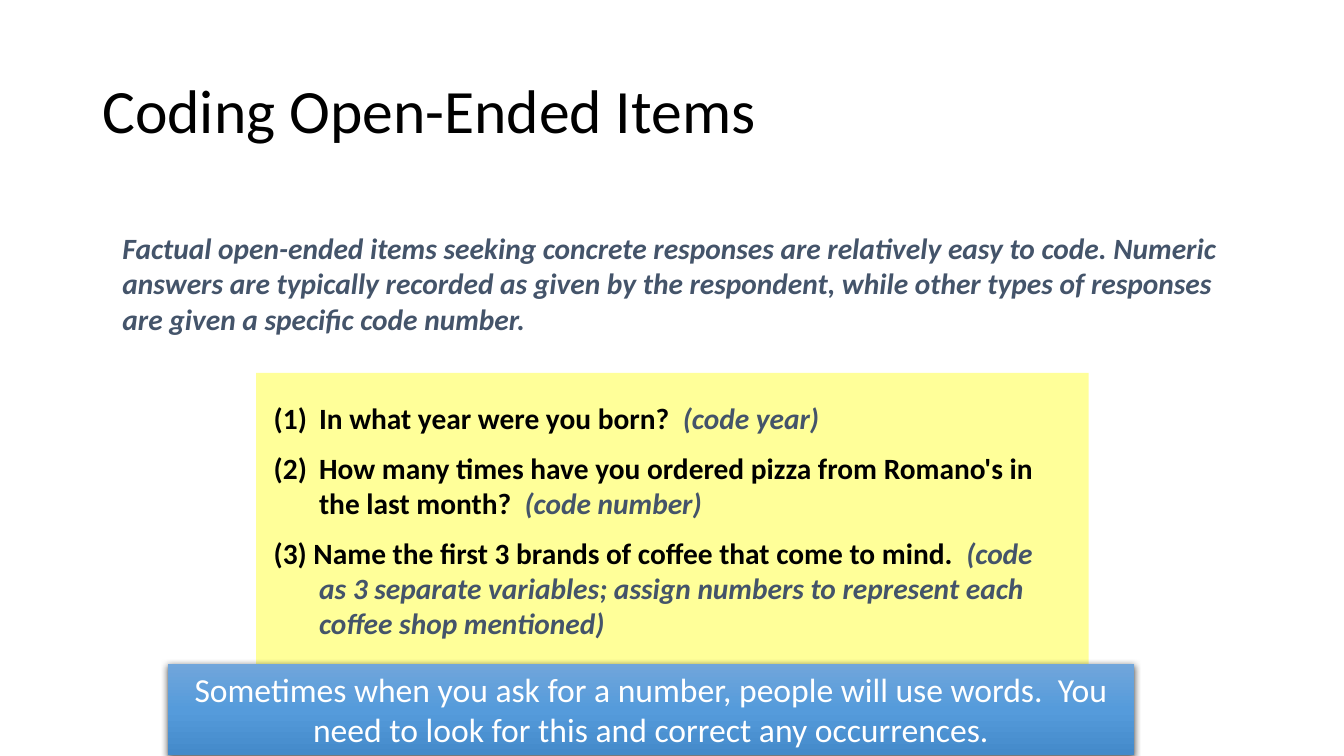
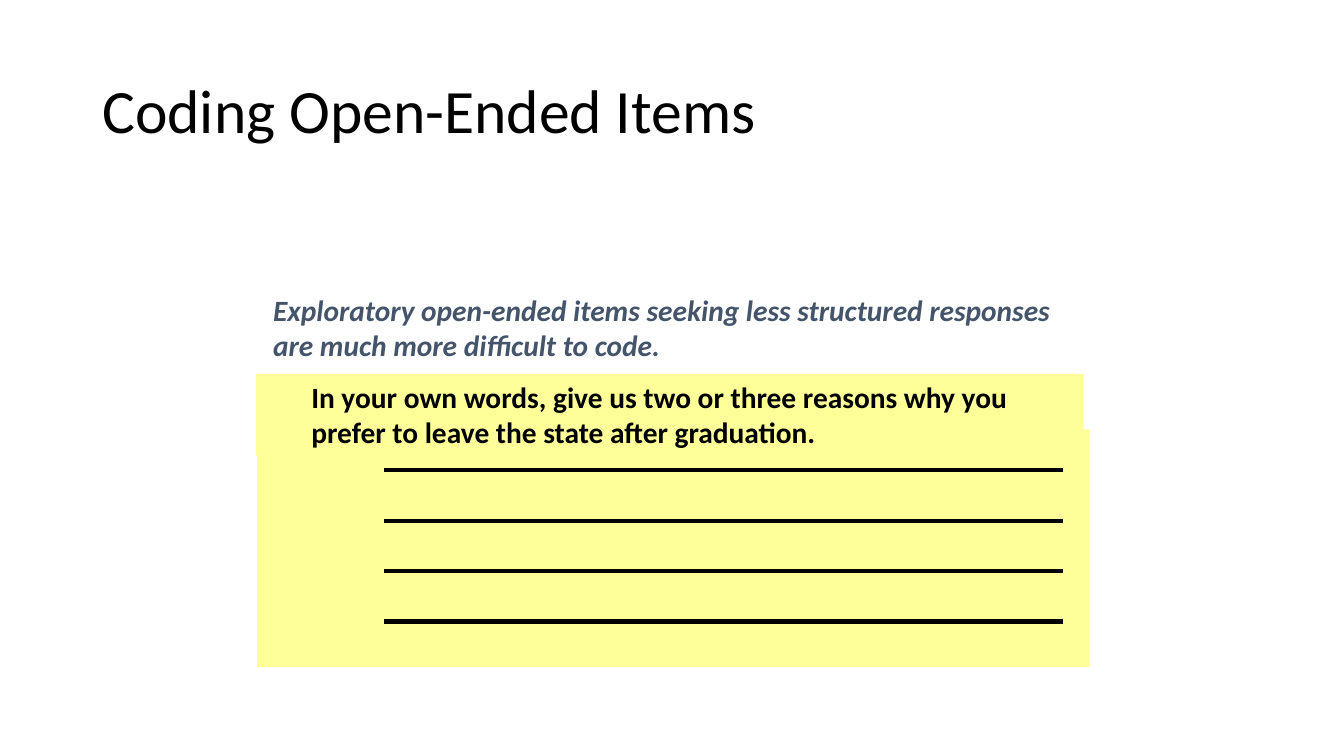
from lxml.etree import SubElement
from pptx import Presentation
from pptx.dml.color import RGBColor
from pptx.enum.shapes import MSO_CONNECTOR as Connector, MSO_SHAPE as Shape
from pptx.enum.text import MSO_ANCHOR as Anchor, PP_ALIGN as Align
from pptx.oxml.ns import qn
from pptx.util import Inches, Pt

BLACK = RGBColor(0x00, 0x00, 0x00)
WHITE = RGBColor(0xFF, 0xFF, 0xFF)
SLATE = RGBColor(0x44, 0x54, 0x6A)
YELLOW = RGBColor(0xFF, 0xFF, 0x99)
BLUES = {0: RGBColor(0x71, 0xA6, 0xDB), 50: RGBColor(0x55, 0x9B, 0xDB), 100: RGBColor(0x44, 0x8A, 0xCA)}
COLUMNS, ROWS = 80, 45
HANGING = Inches(0.45)
TITLE = "Coding Open-Ended Items"


class Deck:
    """Slide builder on a grid of 80 columns by 45 rows, with one shared style."""

    font = "Calibri"
    title_size, body_size, banner_size = Pt(44), Pt(21), Pt(24)
    paragraph_gap = Pt(10.5)

    def __init__(self):
        self.file = Presentation()
        self.file.slide_width, self.file.slide_height = Inches(13.33), Inches(7.5)
        self.slide = None

    def grid(self, column, row):
        return round(self.file.slide_width * column / COLUMNS), round(self.file.slide_height * row / ROWS)

    def new_slide(self, title):
        self.slide = self.file.slides.add_slide(self.file.slide_layouts[6])
        frame = self.text_box(5.5, 2.4, 69, 8.7)
        frame.vertical_anchor = Anchor.MIDDLE
        frame.text = title
        frame.paragraphs[0].line_spacing = 0.9
        self.style(frame.paragraphs[0].font, BLACK, self.title_size)

    def style(self, font, color, size, bold=False, italic=False):
        font.name, font.size, font.bold, font.italic = self.font, size, bold, italic
        font.color.rgb = color

    def text_box(self, column, row, columns, rows):
        box = self.slide.shapes.add_textbox(*self.grid(column, row), *self.grid(columns, rows))
        box.text_frame.word_wrap = True
        return box.text_frame

    def intro(self, column, row, columns, rows, text):
        frame = self.text_box(column, row, columns, rows)
        frame.text = text
        self.style(frame.paragraphs[0].font, SLATE, self.body_size, bold=True, italic=True)

    def rectangle(self, column, row, columns, rows):
        panel = self.slide.shapes.add_shape(
            Shape.RECTANGLE, *self.grid(column, row), *self.grid(columns, rows))
        panel.shadow.inherit = False
        panel.line.fill.background()
        panel.text_frame.word_wrap = True
        panel.text_frame.vertical_anchor = Anchor.TOP
        return panel

    def card(self, column, row, columns, rows):
        panel = self.rectangle(column, row, columns, rows)
        panel.fill.solid()
        panel.fill.fore_color.rgb = YELLOW
        return panel.text_frame

    def question(self, frame, text, note="", numbered=False, hanging=True):
        first = not frame.text
        paragraph = frame.paragraphs[0] if first else frame.add_paragraph()
        paragraph.alignment = Align.LEFT
        if not first:
            paragraph.space_before = self.paragraph_gap
        properties = paragraph._p.get_or_add_pPr()
        properties.set("marL", str(HANGING))
        properties.set("indent", str(-HANGING if hanging else 0))
        if numbered:
            SubElement(properties, qn("a:buAutoNum"), type="arabicParenBoth")
        paragraph.text = text
        self.style(paragraph.runs[0].font, BLACK, self.body_size, bold=True)
        if note:
            answer = paragraph.add_run()
            answer.text = note
            self.style(answer.font, SLATE, self.body_size, bold=True, italic=True)

    def banner(self, column, row, columns, rows, text):
        panel = self.rectangle(column, row, columns, rows)
        panel.fill.gradient()
        panel.fill.gradient_angle = 270
        properties = panel._element.spPr
        stops = properties.find(qn("a:gradFill")).find(qn("a:gsLst"))
        stops.clear()
        for percent, color in BLUES.items():
            stop = SubElement(stops, qn("a:gs"), pos=str(percent * 1000))
            SubElement(stop, qn("a:srgbClr"), val=str(color))
        shadow = SubElement(
            properties.find(qn("a:effectLst")), qn("a:outerShdw"),
            blurRad=str(Pt(4.5)), dist=str(Pt(1.5)), dir="5400000", algn="ctr", rotWithShape="0")
        tint = SubElement(shadow, qn("a:srgbClr"), val=str(BLACK))
        SubElement(tint, qn("a:alpha"), val="63000")
        panel.text_frame.text = text
        paragraph = panel.text_frame.paragraphs[0]
        paragraph.alignment = Align.CENTER
        self.style(paragraph.font, WHITE, self.banner_size)

    def answer_line(self, start, end, row):
        rule = self.slide.shapes.add_connector(
            Connector.STRAIGHT, *self.grid(start, row), *self.grid(end, row))
        rule.line.color.rgb = BLACK
        rule.line.width = Pt(3)
        SubElement(rule._element.spPr, qn("a:effectLst"))


def factual_items(deck):
    deck.new_slide(TITLE)
    deck.intro(6.7, 13.4, 68.3, 6.9,
               "Factual open-ended items seeking concrete responses are relatively easy to code. "
               "Numeric answers are typically recorded as given by the respondent, while other "
               "types of responses are given a specific code number.")
    deck.card(15.24, 22.2, 49.56, 19.6)
    questions = deck.card(15.7, 23.5, 47.3, 15.3)
    deck.question(questions, "In what year were you born?  ", "(code year)", numbered=True)
    deck.question(questions, "How many times have you ordered pizza from Romano's in the last month?  ",
                  "(code number)", numbered=True)
    deck.question(questions, "(3) Name the first 3 brands of coffee that come to mind.  ",
                  "(code as 3 separate variables; assign numbers to represent each coffee shop mentioned)")
    deck.banner(10, 39.5, 57.5, 5.45,
                "Sometimes when you ask for a number, people will use words.  "
                "You need to look for this and correct any occurrences.")


def exploratory_items(deck):
    deck.new_slide(TITLE)
    deck.intro(15.66, 17.1, 49.2, 4.75,
               "Exploratory open-ended items seeking less structured responses "
               "are much more difficult to code.")
    deck.card(15.3, 25.56, 49.56, 14.16)
    prompt = deck.card(15.24, 22.26, 49.26, 4.86)
    deck.question(prompt, "In your own words, give us two or three reasons why you prefer "
                          "to leave the state after graduation.", hanging=False)
    for index in range(4):
        deck.answer_line(22.86, 63.3, 28 + 3 * index)


def main():
    deck = Deck()
    factual_items(deck)
    exploratory_items(deck)
    deck.file.save("out.pptx")


if __name__ == "__main__":
    main()
